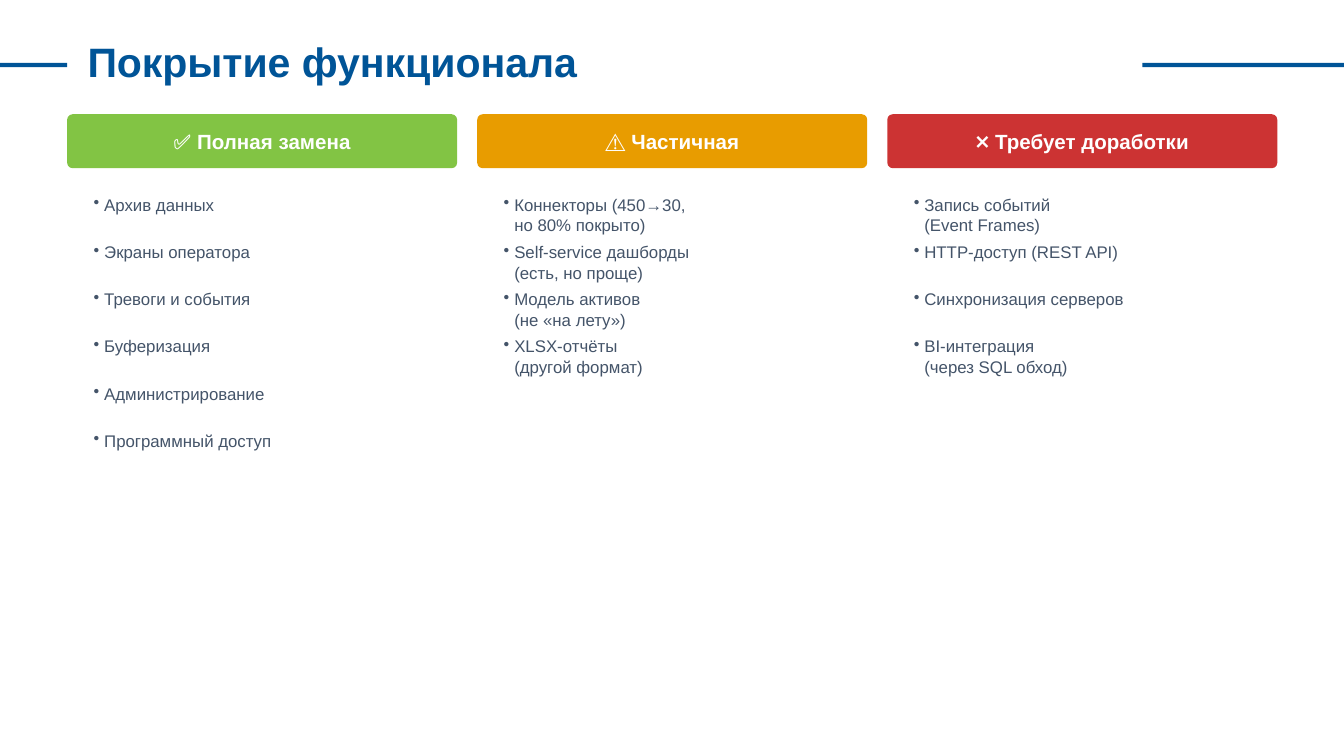
from copy import deepcopy

from lxml.etree import SubElement
from pptx import Presentation
from pptx.dml.color import RGBColor
from pptx.enum.shapes import MSO_SHAPE as Shape
from pptx.enum.text import MSO_ANCHOR as Anchor, MSO_AUTO_SIZE as AutoSize, PP_ALIGN as Align
from pptx.oxml.ns import qn
from pptx.util import Cm, Pt

COLORS = {
    "blue": "005497",
    "green": "82C444",
    "orange": "E89C00",
    "red": "CC3333",
    "white": "FFFFFF",
    "slate": "445469",
}

COLUMNS = [
    ("✅ Полная замена", "green", [
        "Архив данных",
        "Экраны оператора",
        "Тревоги и события",
        "Буферизация",
        "Администрирование",
        "Программный доступ",
    ]),
    ("⚠️ Частичная", "orange", [
        "Коннекторы (450→30,\nно 80% покрыто)",
        "Self-service дашборды\n(есть, но проще)",
        "Модель активов\n(не «на лету»)",
        "XLSX-отчёты\n(другой формат)",
    ]),
    ("❌ Требует доработки", "red", [
        "Запись событий\n(Event Frames)",
        "HTTP-доступ (REST API)",
        "Синхронизация серверов",
        "BI-интеграция\n(через SQL обход)",
    ]),
]

# Grid, in centimetres
MARGIN = 1.27
COLUMN_WIDTH = 7.37
COLUMN_STEP = 7.75
HEADER_TOP, HEADER_HEIGHT = 2.16, 1.02
ITEM_TOP, ITEM_STEP, ITEM_INSET = 3.56, 0.89, 0.25
BULLET_INDENT = 0.2


def rgb(name):
    return RGBColor.from_string(COLORS[name])


def write(paragraph, text, size, color, bold=False, align=Align.LEFT):
    paragraph.text = text
    paragraph.alignment = align
    font_format = {"name": "Arial", "size": Pt(size), "bold": bold}
    for run in paragraph.runs:
        for key, value in font_format.items():
            setattr(run.font, key, value)
        run.font.color.rgb = rgb(color)
    # Line breaks take the same size as the text around them
    for line_break in paragraph._p.findall(qn("a:br")):
        line_break.append(deepcopy(paragraph.runs[0].font._element))


def add_bullet(paragraph):
    properties = paragraph._p.get_or_add_pPr()
    properties.set("marL", str(Cm(BULLET_INDENT)))
    properties.set("indent", str(-Cm(BULLET_INDENT)))
    SubElement(properties, qn("a:buChar"), char="•")


def add_block(slide, kind, left, top, width, height, color):
    block = slide.shapes.add_shape(kind, Cm(left), Cm(top), Cm(width), Cm(height))
    block.shadow.inherit = False
    block.fill.solid()
    block.fill.fore_color.rgb = rgb(color)
    block.line.fill.background()
    return block


def add_title(slide, text):
    title = slide.shapes.title
    place = {"left": Cm(1.4), "top": Cm(0.56), "width": Cm(20.32), "height": Cm(1.02)}
    for key, value in place.items():
        setattr(title, key, value)
    frame = title.text_frame
    frame.auto_size = AutoSize.NONE
    frame.vertical_anchor = Anchor.TOP
    write(frame.paragraphs[0], text, 22, "blue", bold=True)


def add_header(slide, left, text, color):
    header = add_block(slide, Shape.ROUNDED_RECTANGLE, left, HEADER_TOP,
                       COLUMN_WIDTH, HEADER_HEIGHT, color)
    header.adjustments[0] = 0.1
    header.text_frame.vertical_anchor = Anchor.MIDDLE
    write(header.text_frame.paragraphs[0], text, 11, "white", bold=True, align=Align.CENTER)


def add_item(slide, left, top, text):
    item = slide.shapes.add_textbox(Cm(left + ITEM_INSET), Cm(top),
                                    Cm(COLUMN_WIDTH - 2 * ITEM_INSET), Cm(ITEM_STEP))
    item.text_frame.word_wrap = True
    paragraph = item.text_frame.paragraphs[0]
    add_bullet(paragraph)
    write(paragraph, text, 9, "slate")


def main():
    deck = Presentation()
    deck.slide_width, deck.slide_height = Cm(25.4), Cm(14.29)
    slide = deck.slides.add_slide(deck.slide_layouts[5])

    # Title between two rules
    for left, width in ((0, 1.27), (21.59, 3.81)):
        add_block(slide, Shape.RECTANGLE, left, 1.19, width, 0.08, "blue")
    add_title(slide, "Покрытие функционала")

    # Coverage columns
    for column, (heading, color, items) in enumerate(COLUMNS):
        left = MARGIN + column * COLUMN_STEP
        add_header(slide, left, heading, color)
        for row, text in enumerate(items):
            add_item(slide, left, ITEM_TOP + row * ITEM_STEP, text)

    deck.save("out.pptx")


if __name__ == "__main__":
    main()
